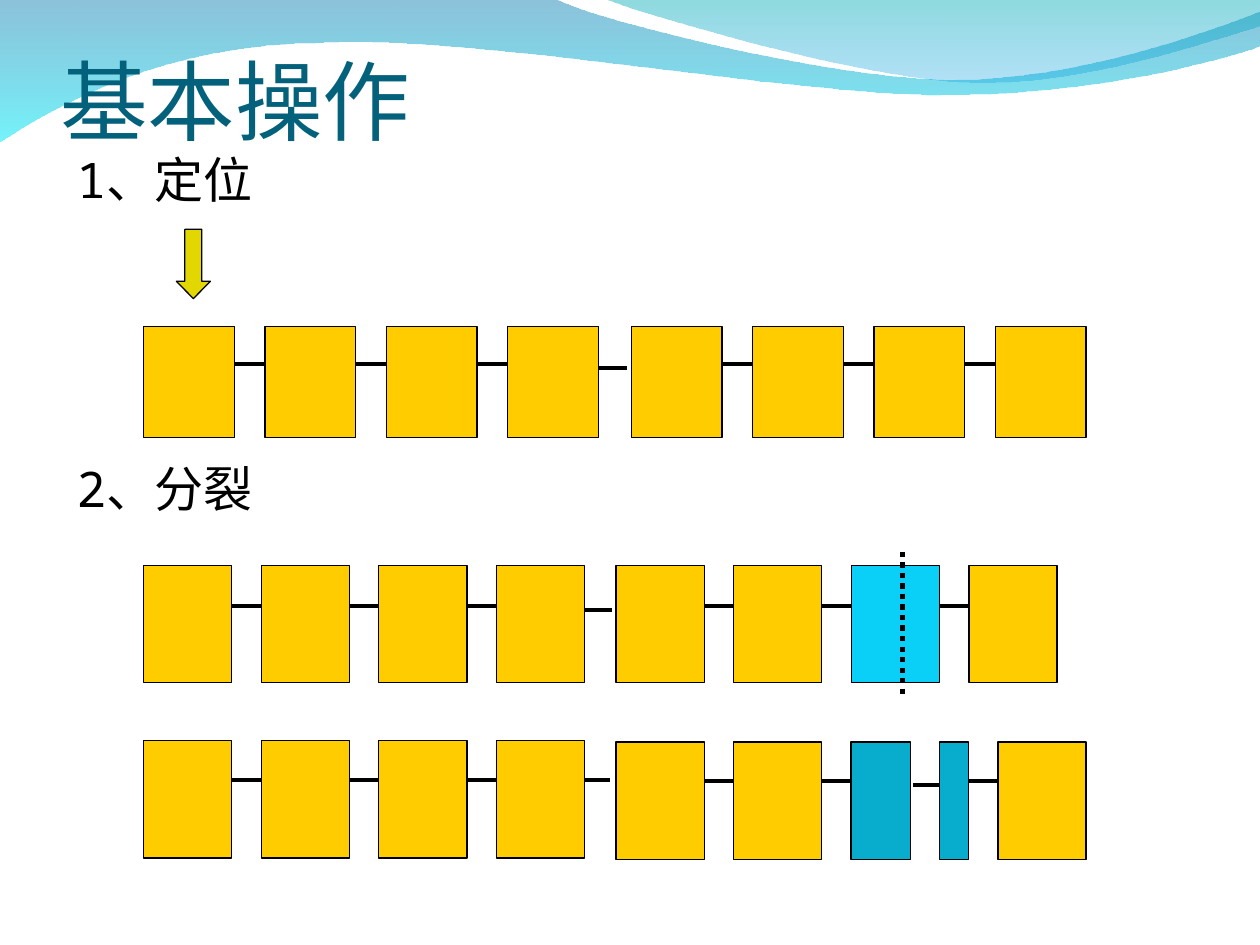
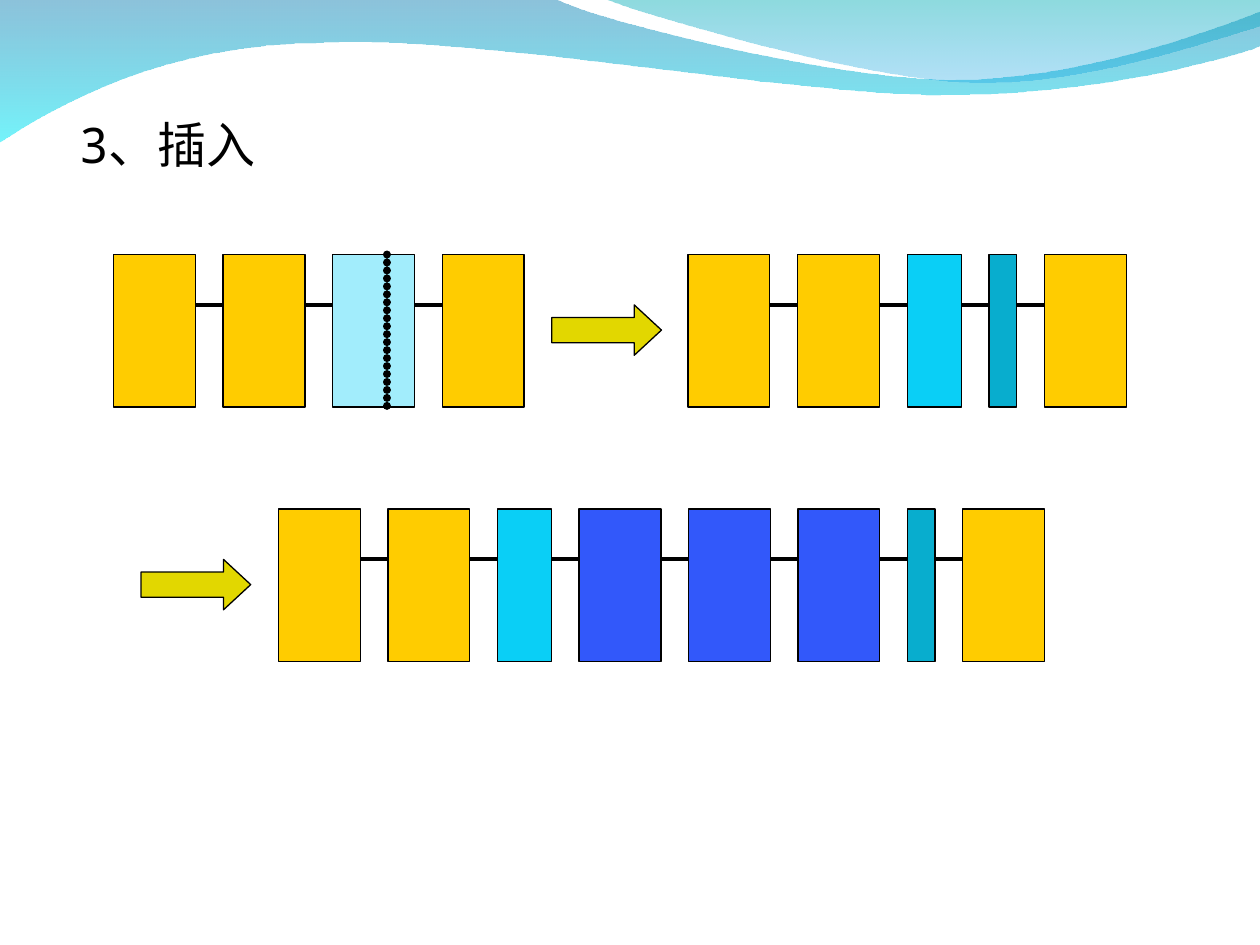
from lxml import etree
from pptx import Presentation
from pptx import util as u
from pptx.dml.color import RGBColor
from pptx.enum import dml, shapes, text
from pptx.oxml import ns

# Colours
BLACK = RGBColor(0x00, 0x00, 0x00)
TITLE_TEAL = RGBColor(0x04, 0x61, 0x7B)
GOLD = RGBColor(0xFF, 0xCC, 0x00)
ARROW_YELLOW = RGBColor(0xE2, 0xD7, 0x00)
CYAN = RGBColor(0x0A, 0xCF, 0xF6)
PALE_CYAN = RGBColor(0xA2, 0xED, 0xFC)
TEAL = RGBColor(0x08, 0xAD, 0xCE)
BLUE = RGBColor(0x32, 0x58, 0xFA)

# Waves: outline segments (2 numbers: line, 6 numbers: curve) and
# gradient stops (colour, opacity in percent)
WIDE_WAVE = [
    (0, -0.01), (4.4, -0.01),
    (4.76, 0.17, 6.64, 0.63, 7.58, 0.63), (8.53, 0.63, 9.58, 0.26, 10, 0.09),
    (10.01, 0.36),
    (9.83, 0.44, 8.7, 0.76, 7.46, 0.75), (6.22, 0.75, 3.82, 0.28, 2.57, 0.34),
    (1.29, 0.35, 0.46, 0.83, -0.01, 1.13),
]
RIGHT_WAVE = [
    (4.79, -0.01),
    (5.09, 0.11, 6.82, 0.62, 7.69, 0.65), (8.56, 0.69, 9.61, 0.32, 10, 0.21),
    (10, 0),
]
WIDE_STOPS = [(RGBColor(0x00, 0x79, 0xAF), 45), (RGBColor(0x00, 0xEB, 0xF8), 55)]
RIGHT_STOPS = [(RGBColor(0x00, 0xAD, 0xB6), 45), (RGBColor(0x00, 0x9B, 0xE5), 30)]


class ListDeck:
    title_font = "Calibri"
    label_font = "Noto Sans Mono"

    def __init__(self):
        self.deck = Presentation()
        self.deck.slide_width, self.deck.slide_height = u.Inches(10), u.Inches(7.5)
        self.page = None
        self.target = None

    def new_page(self, layout):
        self.page = self.deck.slides.add_slide(self.deck.slide_layouts[layout])
        self.end_row()

    def start_row(self):
        """Collect the following shapes and lines in one group."""
        self.target = self.page.shapes.add_group_shape()

    def end_row(self):
        self.target = self.page

    def master_wave(self, outline, stops, position):
        """Draw a translucent wave and move it behind everything on the master."""
        points = [(u.Inches(x), u.Inches(y)) for segment in outline
                  for x, y in zip(segment[::2], segment[1::2])]
        builder = self.page.shapes.build_freeform(*points[0])
        builder.add_line_segments(points[1:], close=True)
        wave = builder.convert_to_shape()
        # Join each run of three lines that stands for a curve
        lines = iter(list(wave.element.iter(ns.qn("a:lnTo"))))
        for segment in outline[1:]:
            first = next(lines)
            if len(segment) == 6:
                first.tag = ns.qn("a:cubicBezTo")
                for follower in (next(lines), next(lines)):
                    first.append(follower[0])
                    follower.getparent().remove(follower)
        wave.shadow.inherit = False
        wave.line.fill.background()
        wave.fill.gradient()
        wave.fill.gradient_angle = 270
        for stop, (color, _) in zip(wave.fill.gradient_stops, stops):
            stop.color.rgb = color
        for color, (_, opacity) in zip(wave.element.iter(ns.qn("a:srgbClr")), stops):
            etree.SubElement(color, ns.qn("a:alpha"), val=str(opacity * 1000))
        self.deck.slide_master.shapes.element.insert(position, wave.element)

    def style_text(self, frame, words, font, size, color):
        frame.text = words
        frame.word_wrap = True
        paragraph = frame.paragraphs[0]
        paragraph.alignment = text.PP_ALIGN.LEFT
        for span in paragraph.runs:
            span.font.name, span.font.size = font, u.Pt(size)
            span.font.color.rgb = color

    def title(self, words):
        box = self.page.shapes.title
        box.left, box.top = u.Inches(0.48), u.Inches(-0.04)
        box.width, box.height = u.Inches(9), u.Inches(1.25)
        frame = box.text_frame
        self.style_text(frame, words, self.title_font, 50, TITLE_TEAL)
        frame.vertical_anchor = text.MSO_ANCHOR.BOTTOM
        frame.margin_left = frame.margin_right = frame.margin_bottom = 0
        frame.margin_top = u.Inches(0.05)

    def label(self, words, left, top, width=3.78):
        box = self.page.shapes.add_textbox(
            u.Inches(left), u.Inches(top), u.Inches(width), u.Inches(0.57))
        self.style_text(box.text_frame, words, self.label_font, 28, BLACK)
        box.text_frame.auto_size = text.MSO_AUTO_SIZE.SHAPE_TO_FIT_TEXT

    def shape(self, kind, left, top, width, height, color):
        item = self.target.shapes.add_shape(
            kind, u.Inches(left), u.Inches(top), u.Inches(width), u.Inches(height))
        item.shadow.inherit = False
        item.fill.solid()
        item.fill.fore_color.rgb = color
        item.line.color.rgb = BLACK
        item.line.width = u.Pt(0.75)
        return item

    def line(self, start, end, width=2.25):
        ends = [u.Inches(value) for value in (*start, *end)]
        item = self.target.shapes.add_connector(shapes.MSO_CONNECTOR.STRAIGHT, *ends)
        item.line.color.rgb = BLACK
        item.line.width = u.Pt(width)
        etree.SubElement(item.element.spPr, ns.qn("a:effectLst"))
        return item

    def square_dots(self, x, top, bottom):
        self.line((x, top), (x, bottom), 3).line.dash_style = dml.MSO_LINE.ROUND_DOT

    def round_dots(self, x, top, bottom):
        item = self.line((x, top), (x, bottom), 4.5)
        outline = item.element.spPr.find(ns.qn("a:ln"))
        outline.set("cap", "rnd")
        dashes = etree.Element(ns.qn("a:custDash"))
        etree.SubElement(dashes, ns.qn("a:ds"), d="100000", sp="1000")
        outline.find(ns.qn("a:solidFill")).addnext(dashes)

    def arrow(self, kind, left, top, width, height, head):
        item = self.shape(kind, left, top, width, height, ARROW_YELLOW)
        item.adjustments[0], item.adjustments[1] = 0.5, head

    def chain(self, left, right, top, height, blocks, link_drop, lowered=None):
        """Spread linked (width, colour) blocks evenly; one link may sit lower."""
        gap = (right - left - sum(width for width, _ in blocks)) / (len(blocks) - 1)
        for index, (width, color) in enumerate(blocks):
            self.shape(shapes.MSO_SHAPE.RECTANGLE, left, top, width, height, color)
            left += width
            if index < len(blocks) - 1:
                shift, drop = (0.02, 0.03) if index == lowered else (0, 0)
                y = top + link_drop + drop
                self.line((left + shift, y), (left + gap + shift, y))
            left += gap


def build_locate_and_split(show):
    show.new_page(5)
    show.master_wave(WIDE_WAVE, WIDE_STOPS, 2)
    show.master_wave(RIGHT_WAVE, RIGHT_STOPS, 3)
    show.title("基本操作")

    # Split: row before
    full = (0.7, GOLD)
    show.start_row()
    show.line((4.63, 4.84), (4.86, 4.84))
    show.chain(1.14, 4.64, 4.49, 0.93, [full] * 4, 0.32)
    show.chain(4.89, 8.39, 4.49, 0.93, [full, full, (0.7, CYAN), full], 0.32)
    show.square_dots(7.16, 4.38, 5.54)

    # Locate
    show.start_row()
    show.line((4.74, 2.92), (4.98, 2.92))
    for left, right in ((1.14, 4.75), (5.01, 8.62)):
        show.chain(left, right, 2.59, 0.88, [(0.72, GOLD)] * 4, 0.3)
    show.end_row()
    show.arrow(shapes.MSO_SHAPE.DOWN_ARROW, 1.4, 1.82, 0.27, 0.55, 0.51)

    # Split: row after
    after = [full, full, (0.47, TEAL), (0.23, TEAL), full]
    show.start_row()
    show.line((4.61, 6.19), (4.84, 6.19))
    show.chain(4.89, 8.62, 5.89, 0.93, after, 0.31, lowered=2)
    show.chain(1.14, 4.64, 5.88, 0.93, [full] * 4, 0.31)

    show.label("2、分裂", 0.51, 3.59, 8.82)
    show.label("1、定位", 0.51, 1.14)


def build_insert(show):
    show.new_page(6)
    full, head, tail = (0.65, GOLD), (0.43, CYAN), (0.22, TEAL)

    # Node to split, node in two parts, and new nodes between the parts
    stages = [
        (0.9, 4.16, 2.02, [full, full, (0.65, PALE_CYAN), full]),
        (2.21, 8.29, 4.04, [full, full, head] + [(0.65, BLUE)] * 3 + [tail, full]),
        (5.46, 8.94, 2.02, [full, full, head, tail, full]),
    ]
    for index, (left, right, top, blocks) in enumerate(stages):
        show.start_row()
        show.chain(left, right, top, 1.21, blocks, 0.4)
        if index == 0:
            show.round_dots(3.07, 2.02, 3.23)
    show.end_row()

    for left, top in ((4.38, 2.42), (1.12, 4.44)):
        show.arrow(shapes.MSO_SHAPE.RIGHT_ARROW, left, top, 0.87, 0.4, 0.54)
    show.label("3、插入", 0.53, 0.86)


def main():
    show = ListDeck()
    build_locate_and_split(show)
    build_insert(show)
    show.deck.save("out.pptx")


if __name__ == "__main__":
    main()
